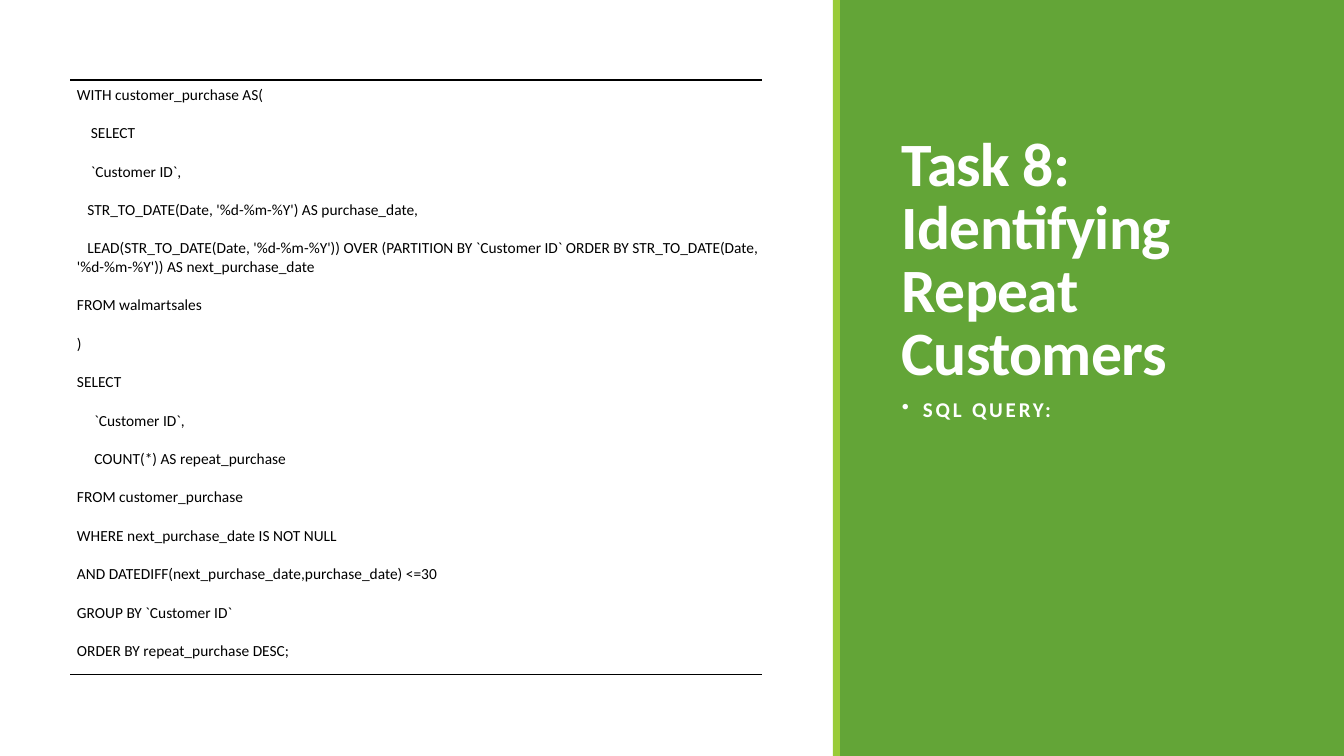
from lxml import etree
from pptx import Presentation
from pptx.dml.color import RGBColor
from pptx.enum.shapes import MSO_SHAPE
from pptx.enum.text import MSO_ANCHOR
from pptx.oxml.ns import qn
from pptx.util import Emu, Pt

RECTANGLE = MSO_SHAPE.RECTANGLE
TOP, BOTTOM = MSO_ANCHOR.TOP, MSO_ANCHOR.BOTTOM
EMU_PER_PX = 914400 / 100.8
FONT = "Calibri"
NO_STYLE_TABLE = "{2D5ABB26-0587-4C30-8999-92F81FD0307C}"
COLORS = {"panel": "63A537", "stripe": "99CB38", "light": "FFFFFF", "dark": "000000"}

QUERY_LINES = [
    "WITH customer_purchase AS(",
    "    SELECT",
    "    `Customer ID`,",
    "   STR_TO_DATE(Date, '%d-%m-%Y') AS purchase_date,",
    "   LEAD(STR_TO_DATE(Date, '%d-%m-%Y')) OVER (PARTITION BY `Customer ID` "
    "ORDER BY STR_TO_DATE(Date, '%d-%m-%Y')) AS next_purchase_date",
    "FROM walmartsales",
    ")",
    "SELECT",
    "     `Customer ID`,",
    "     COUNT(*) AS repeat_purchase",
    "FROM customer_purchase",
    "WHERE next_purchase_date IS NOT NULL",
    "AND DATEDIFF(next_purchase_date,purchase_date) <=30",
    "GROUP BY `Customer ID`",
    "ORDER BY repeat_purchase DESC;",
]
WRAPPED_LINE = 4
WRAPPED_HEIGHT = 57


def px(length):
    return Emu(round(length * EMU_PER_PX))


def color(name):
    return RGBColor.from_string(COLORS[name])


def add_bar(slide, left, top, width, height, fill):
    bar = slide.shapes.add_shape(RECTANGLE, px(left), px(top), px(width), px(height))
    bar.shadow.inherit = False
    bar.fill.solid()
    bar.fill.fore_color.rgb = color(fill)
    bar.line.fill.background()


def add_run(paragraph, text, size, fill, bold=False, spacing=0):
    """Add a run; spacing is the letter spacing in points."""
    run = paragraph.add_run()
    run.text = text
    run.font.name = FONT
    run.font.size = Pt(size)
    run.font.bold = bold
    run.font.color.rgb = color(fill)
    if spacing:
        run.font._element.set("spc", str(round(spacing * 100)))


def add_text_box(slide, left, top, width, height, anchor, line_spacing):
    """Return the first paragraph of a new wrapping text box."""
    box = slide.shapes.add_textbox(px(left), px(top), px(width), px(height))
    frame = box.text_frame
    frame.word_wrap = True
    frame.vertical_anchor = anchor
    paragraph = frame.paragraphs[0]
    paragraph.line_spacing = line_spacing
    return paragraph


def add_bullet(paragraph, indent):
    properties = paragraph._p.get_or_add_pPr()
    properties.set("marL", str(px(indent)))
    properties.set("indent", str(-px(indent)))
    etree.SubElement(properties, qn("a:buChar"), char="•")


def add_title_panel(slide, left, top, width, height):
    stripe_width, text_inset, text_width = 7, 52, 403
    add_bar(slide, left, top, width, height, "panel")
    add_bar(slide, left - stripe_width, top, stripe_width, height, "stripe")

    text_left = left + text_inset
    title = add_text_box(slide, text_left, top + 70, text_width, 323, BOTTOM, 0.85)
    add_run(title, "Task 8: Identifying Repeat Customers", 44, "light", True, -0.5)

    subtitle = add_text_box(slide, text_left, top + 394, text_width, 291, TOP, 0.9)
    add_bullet(subtitle, 21)
    add_run(subtitle, "SQL QUERY:", 15, "light", True, 2)


def add_rule(cell, side):
    """Draw a black line on one side of a cell: lnT or lnB."""
    line = etree.Element(qn(f"a:{side}"), w=str(Pt(1)))
    fill = etree.SubElement(line, qn("a:solidFill"))
    etree.SubElement(fill, qn("a:srgbClr"), val=COLORS["dark"])
    cell._tc.get_or_add_tcPr().insert(0, line)


def add_query_table(slide, left, top, width, height):
    frame = slide.shapes.add_table(
        len(QUERY_LINES), 1, px(left), px(top), px(width), px(height))
    table = frame.table
    table.first_row = table.horz_banding = False
    table._tbl.tblPr.find(qn("a:tableStyleId")).text = NO_STYLE_TABLE
    row_height = (height - WRAPPED_HEIGHT) / (len(QUERY_LINES) - 1)

    for index, text in enumerate(QUERY_LINES):
        table.rows[index].height = px(
            WRAPPED_HEIGHT if index == WRAPPED_LINE else row_height)
        cell = table.cell(index, 0)
        cell.fill.background()
        cell.vertical_anchor = BOTTOM
        cell.margin_left, cell.margin_right = px(7), px(1)
        cell.margin_top, cell.margin_bottom = px(2), px(14)
        add_run(cell.text_frame.paragraphs[0], text, 11, "dark")

    add_rule(table.cell(0, 0), "lnT")
    add_rule(table.cell(len(QUERY_LINES) - 1, 0), "lnB")


def main():
    presentation = Presentation()
    presentation.slide_width = px(1344)
    presentation.slide_height = px(756)
    blank_layout = presentation.slide_layouts[6]
    slide = presentation.slides.add_slide(blank_layout)
    slide.background.fill.solid()
    slide.background.fill.fore_color.rgb = color("light")

    add_title_panel(slide, 840, 0, 504, 756)
    add_query_table(slide, 70, 80, 692, 595)
    presentation.save("out.pptx")


if __name__ == "__main__":
    main()
